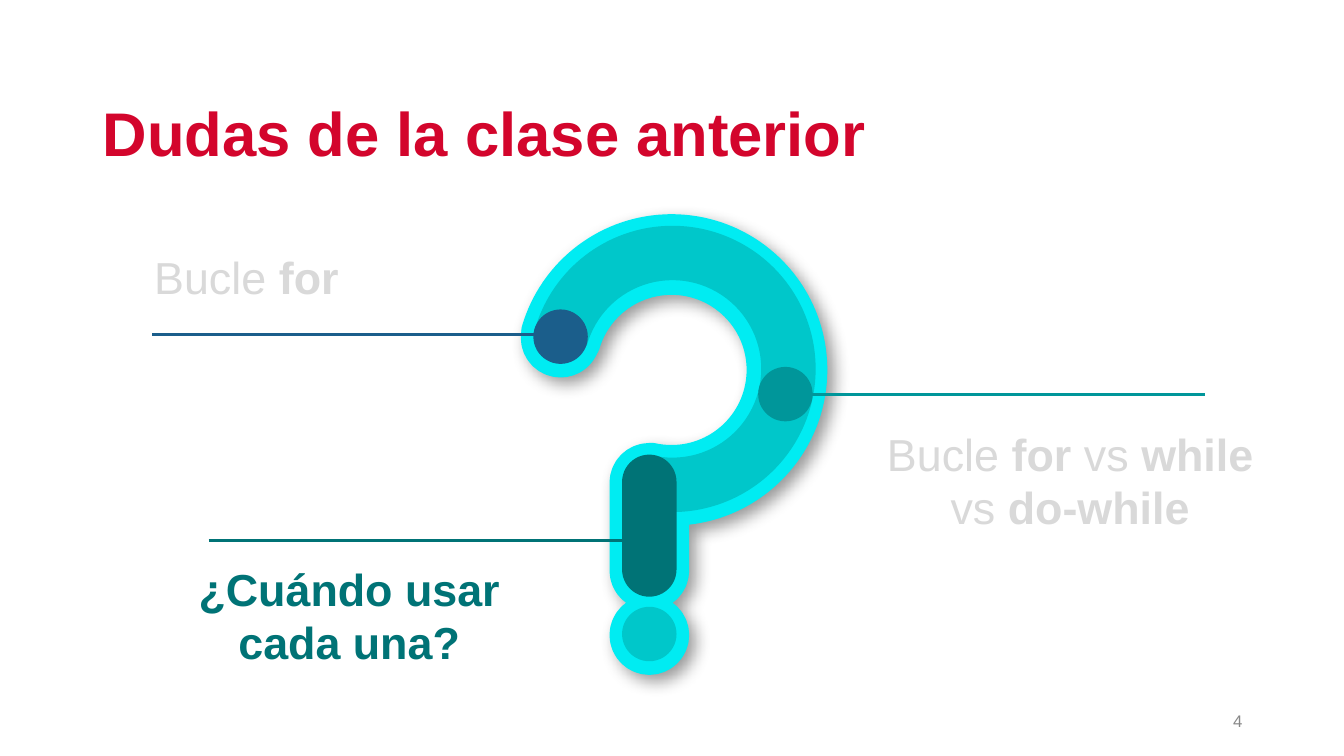
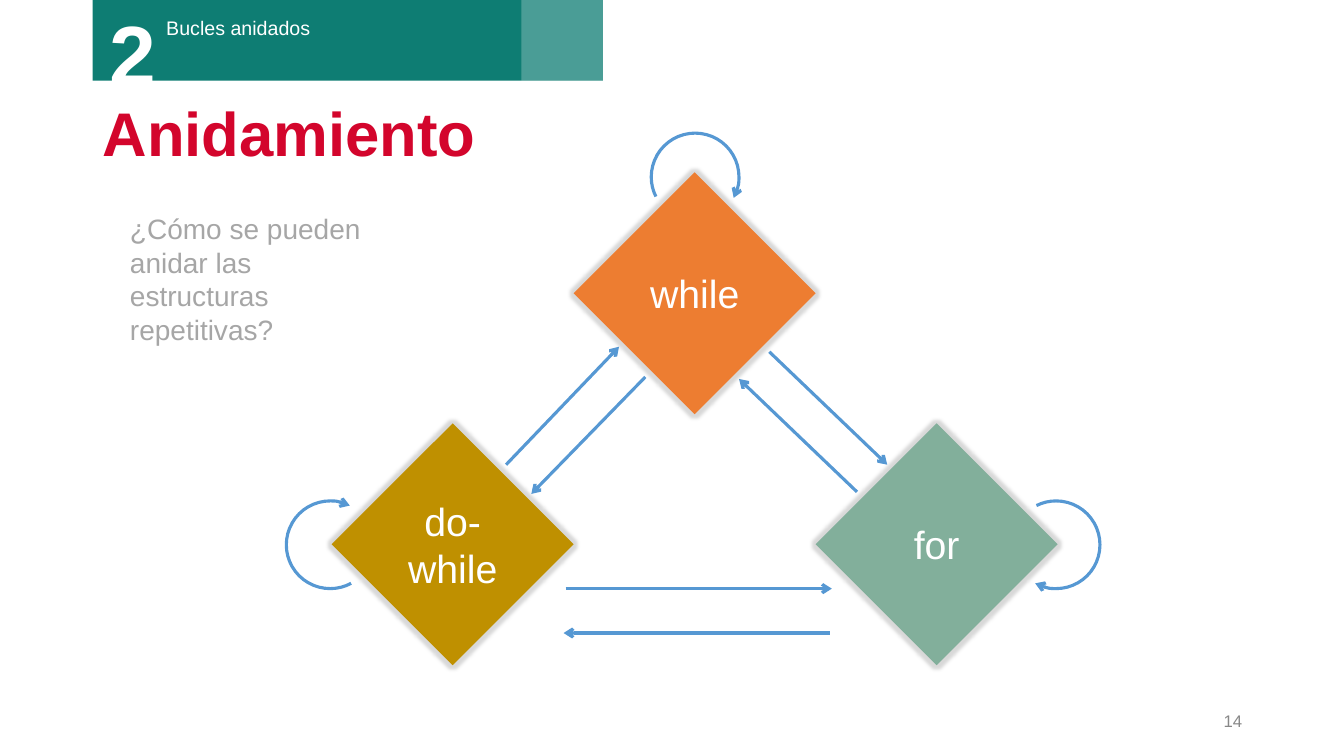
import math

import pptx
import pptx.dml.color
import pptx.enum.shapes
import pptx.enum.text
import pptx.oxml
import pptx.oxml.ns
import pptx.util

Inches, Pt = pptx.util.Inches, pptx.util.Pt
RGBColor = pptx.dml.color.RGBColor
SHAPE = pptx.enum.shapes.MSO_SHAPE
ALIGN = pptx.enum.text.PP_ALIGN
MIDDLE = pptx.enum.text.MSO_ANCHOR.MIDDLE
GROW = pptx.enum.text.MSO_AUTO_SIZE.SHAPE_TO_FIT_TEXT
qn = pptx.oxml.ns.qn

FONT = "Arial"
RED = RGBColor(0xD3, 0x05, 0x2C)
WHITE = RGBColor(0xFF, 0xFF, 0xFF)
BLACK = RGBColor(0x00, 0x00, 0x00)
NUMBER_GRAY = RGBColor(0x88, 0x88, 0x88)
PALE_GRAY = RGBColor(0xD9, 0xD9, 0xD9)
GLOW_GRAY = RGBColor(0xBF, 0xBF, 0xBF)
QUESTION_GRAY = RGBColor(0xA6, 0xA6, 0xA6)
CYAN = RGBColor(0x00, 0xC7, 0xCA)
BRIGHT_CYAN = RGBColor(0x00, 0xEC, 0xF2)
NAVY = RGBColor(0x1B, 0x5E, 0x8B)
TEAL = RGBColor(0x00, 0x96, 0x9A)
DARK_TEAL = RGBColor(0x00, 0x73, 0x76)
BAND_GREEN = RGBColor(0x0E, 0x7D, 0x73)
ARROW_BLUE = RGBColor(0x56, 0x98, 0xD3)
ORANGE = RGBColor(0xED, 0x7D, 0x31)
GOLD = RGBColor(0xBF, 0x90, 0x00)
SAGE = RGBColor(0x82, 0xAF, 0x9B)

# Slide 1: box, runs (text, bold), colour
DOUBTS = [
    ((1.43, 2.43, 2.03, 0.64), [("Bucle ", False), ("for", True)], PALE_GRAY),
    ((8.65, 4.18, 3.93, 1.18),
     [("Bucle ", False), ("for", True), (" vs ", False), ("while", True),
      (" vs ", False), ("do-while", True)], PALE_GRAY),
    ((1.68, 5.52, 3.57, 1.18), [("¿Cuándo usar cada una?", True)], DARK_TEAL),
]
LEADER_LENGTH = 4.17
LEADERS = [(1.51, 3.32, NAVY), (7.78, 3.91, TEAL), (2.07, 5.36, DARK_TEAL)]

# Question mark outline: centre, radius, start and end in degrees, clockwise
# from the right; consecutive arcs are joined by straight lines
STROKE_RADIUS = 0.27
HOOK_ARCS = [
    ((6.66, 3.67), 1.42, 196, 448),
    ((6.44, 5.66), STROKE_RADIUS, 0, 180),
    ((6.44, 4.79), STROKE_RADIUS, 180, 270),
    ((6.66, 3.67), 0.87, 463, 196),
    ((5.56, 3.35), STROKE_RADIUS, 16, 196),
]
DOT_ARCS = [((6.44, 6.3), STROKE_RADIUS, 0, 360)]

# Question mark parts: shape, box, adjustments, colour
DOT = 2 * STROKE_RADIUS
MARK_PARTS = [
    (SHAPE.BLOCK_ARC, (5.25, 2.24, 2.84, 2.84), (116.97, 61.84, 0.19), CYAN),
    (SHAPE.OVAL, (5.29, 3.07, DOT, DOT), (), NAVY),
    (SHAPE.OVAL, (6.17, 6.02, DOT, DOT), (), CYAN),
    (SHAPE.ROUNDED_RECTANGLE, (6.17, 4.51, DOT, 1.41), (0.5,), DARK_TEAL),
    (SHAPE.OVAL, (7.52, 3.64, DOT, DOT), (), TEAL),
]

# Slide 2: text, left, top, colour
DIAMOND_SIZE = 2.4
DIAMONDS = [("while", 5.69, 1.71, ORANGE), ("do-while", 3.29, 4.2, GOLD),
            ("for", 8.09, 4.2, SAGE)]
# start, finish, end that bears the arrowhead
ARROWS = [
    ((7.63, 3.49), (8.8, 4.61), "tailEnd"), ((5.02, 4.61), (6.14, 3.44), "tailEnd"),
    ((5.61, 5.84), (8.25, 5.84), "tailEnd"), ((7.33, 3.76), (8.5, 4.88), "headEnd"),
    ((5.27, 4.9), (6.4, 3.74), "headEnd"), ((5.59, 6.28), (8.23, 6.28), "headEnd"),
]
# left, top, rotation, mirrored
LOOP_SIZE = 0.87
LOOPS = [(6.46, 1.32, 270, False), (10.04, 4.97, 0, False),
         (2.84, 4.97, 0, True)]


def add_xml(parent, tag, **attributes):
    child = pptx.oxml.parse_xml(
        f'<a:{tag} xmlns:a="http://schemas.openxmlformats.org/drawingml/2006/main"/>')
    for name, value in attributes.items():
        child.set(name, str(value))
    parent.append(child)
    return child


def add_effect(shape, tag, color, opacity, **attributes):
    effects = shape._element.spPr.find(qn("a:effectLst"))
    effect = add_xml(effects, tag, **attributes)
    effect_color = add_xml(effect, "srgbClr", val=color)
    add_xml(effect_color, "alpha", val=opacity * 1000)


def write(shape, runs, size, color, align=ALIGN.LEFT, anchor=None):
    frame = shape.text_frame
    frame.word_wrap = True
    if anchor is not None:
        frame.vertical_anchor = anchor
    paragraph = frame.paragraphs[0]
    paragraph.alignment = align
    for text, bold in runs:
        run = paragraph.add_run()
        run.text = text
        run.font.name, run.font.size, run.font.bold = FONT, Pt(size), bold
        run.font.color.rgb = color
    return paragraph


def add_text(slide, box, runs, size, color, **options):
    shape = slide.shapes.add_textbox(*map(Inches, box))
    if "anchor" not in options:
        shape.text_frame.auto_size = GROW
    return write(shape, runs, size, color, **options)


def add_shape(slide, kind, box, fill):
    shape = slide.shapes.add_shape(kind, *map(Inches, box))
    shape.shadow.inherit = False
    shape.line.fill.background()
    shape.fill.solid()
    shape.fill.fore_color.rgb = fill
    return shape


def style_line(shape, color, end=None):
    shape.line.color.rgb = color
    shape.line.width = Pt(2.25)
    if end:
        add_xml(shape._element.spPr.find(qn("a:ln")), end, type="arrow")


def add_line(slide, start, finish, color, end=None):
    line = slide.shapes.add_connector(pptx.enum.shapes.MSO_CONNECTOR.STRAIGHT,
                                      *map(Inches, start + finish))
    style_line(line, color, end)
    add_xml(line._element.spPr, "effectLst")


def add_base(presentation, title, number):
    slide = presentation.slides.add_slide(presentation.slide_layouts[6])
    heading = add_text(slide, (0.92, 0.93, 11.5, 0.86), [(title, True)], 44, RED,
                       anchor=MIDDLE)
    heading.line_spacing = 0.9
    add_text(slide, (9.42, 6.95, 3, 0.4), [(number, False)], 12, NUMBER_GRAY,
             align=ALIGN.RIGHT, anchor=MIDDLE)
    return slide


def arc_segments(center, radius, start, finish):
    """A start point, then one cubic curve (three points) per quadrant."""
    def point(degrees, tangent=0.0):
        angle = math.radians(degrees)
        x = center[0] + radius * (math.cos(angle) - tangent * math.sin(angle))
        y = center[1] + radius * (math.sin(angle) + tangent * math.cos(angle))
        return Inches(x), Inches(y)

    low, high = sorted((start, finish))
    stops = [low, *(stop for stop in range(0, 540, 90) if low < stop < high), high]
    if start > finish:
        stops.reverse()
    segments = [[point(start)]]
    for first, last in zip(stops, stops[1:]):
        handle = 4 / 3 * math.tan(math.radians(last - first) / 4)
        segments.append([point(first, handle), point(last, -handle), point(last)])
    return segments


def add_curved_outline(slide, contours):
    """Lay out all points as a freeform, then turn point triples into curves."""
    outlines = [[segment for arc in arcs for segment in arc_segments(*arc)]
                for arcs in contours]
    builder = None
    for segments in outlines:
        first = segments[0][0]
        if builder is None:
            builder = slide.shapes.build_freeform(*first)
        else:
            builder.move_to(*first)
        builder.add_line_segments([point for segment in segments[1:]
                                   for point in segment], close=True)
    shape = builder.convert_to_shape()
    lines = iter(list(shape._element.spPr.iter(qn("a:lnTo"))))
    for segments in outlines:
        for segment in segments[1:]:
            parts = [next(lines) for _ in segment]
            if len(parts) == 3:
                parent = parts[0].getparent()
                curve = add_xml(parent, "cubicBezTo")
                parent.replace(parts[0], curve)
                for part in parts:
                    curve.append(part[0])
                for part in parts[1:]:
                    parent.remove(part)
    return shape


def add_question_mark(slide):
    outline = add_curved_outline(slide, [DOT_ARCS, HOOK_ARCS])
    outline.shadow.inherit = False
    outline.fill.solid()
    outline.fill.fore_color.rgb = CYAN
    outline.line.color.rgb = BRIGHT_CYAN
    outline.line.width = Pt(18)
    add_xml(outline._element.spPr.find(qn("a:ln")), "round")
    add_effect(outline, "outerShdw", BLACK, 40, blurRad=Pt(12), dist=Pt(6),
               dir=45 * 60000, algn="ctr", rotWithShape=0)
    for kind, box, adjustments, color in MARK_PARTS:
        part = add_shape(slide, kind, box, color)
        for index, value in enumerate(adjustments):
            part.adjustments[index] = value


def build_doubts(presentation):
    slide = add_base(presentation, "Dudas de la clase anterior", "4")
    add_question_mark(slide)
    for box, runs, color in DOUBTS:
        add_text(slide, box, runs, 32, color, align=ALIGN.CENTER)
    for x, y, color in LEADERS:
        add_line(slide, (x, y), (x + LEADER_LENGTH, y), color)


def build_nesting(presentation):
    slide = add_base(presentation, "Anidamiento", "14")
    add_text(slide, (1.19, 2.05, 2.68, 1.45),
             [("¿Cómo se pueden anidar las estructuras repetitivas?", False)],
             20, QUESTION_GRAY)

    # Loop structures
    for text, left, top, color in DIAMONDS:
        diamond = add_shape(slide, SHAPE.DIAMOND,
                            (left, top, DIAMOND_SIZE, DIAMOND_SIZE), color)
        add_effect(diamond, "glow", GLOW_GRAY, 60, rad=Pt(5))
        diamond.text_frame.margin_left = diamond.text_frame.margin_right = 0
        write(diamond, [(text, False)], 28, WHITE, align=ALIGN.CENTER, anchor=MIDDLE)

    # Arrows between structures and back to themselves
    for start, finish, end in ARROWS:
        add_line(slide, start, finish, ARROW_BLUE, end)
    for left, top, rotation, mirrored in LOOPS:
        loop = slide.shapes.add_shape(
            SHAPE.ARC, *map(Inches, (left, top, LOOP_SIZE, LOOP_SIZE)))
        loop.shadow.inherit = False
        loop.fill.background()
        loop.adjustments[0], loop.adjustments[1] = 146.06, 71.09
        loop.rotation = rotation
        if mirrored:
            loop._element.spPr.find(qn("a:xfrm")).set("flipH", "1")
        style_line(loop, ARROW_BLUE, "headEnd" if mirrored else "tailEnd")

    # Section band
    add_shape(slide, SHAPE.RECTANGLE, (0.92, 0, 5.06, 0.8), BAND_GREEN)
    add_text(slide, (1.55, 0.11, 2.75, 0.34), [("Bucles anidados", False)], 14, WHITE)
    add_text(slide, (0.99, -0.03, 1.12, 1.11), [("2", True)], 60, WHITE)
    veil = add_shape(slide, SHAPE.RECTANGLE, (5.17, 0, 0.81, 0.8), WHITE)
    veil_color = veil._element.spPr.find(qn("a:solidFill")).find(qn("a:srgbClr"))
    add_xml(veil_color, "alpha", val=25000)


def main():
    presentation = pptx.Presentation()
    presentation.slide_width = Inches(13.33)
    presentation.slide_height = Inches(7.5)
    build_doubts(presentation)
    build_nesting(presentation)
    presentation.save("out.pptx")


if __name__ == "__main__":
    main()
